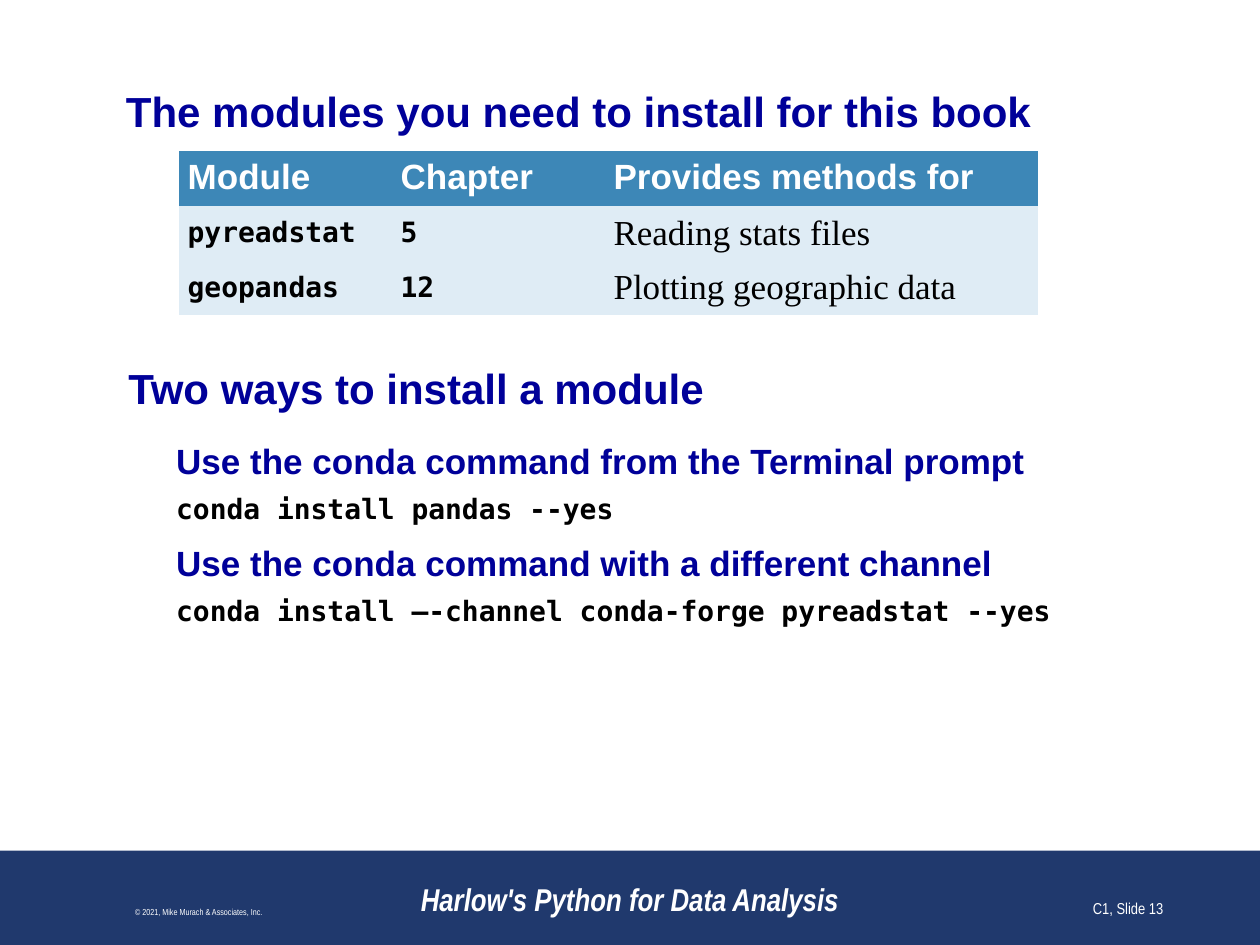
from dataclasses import dataclass

import pptx
import pptx.dml.color
import pptx.enum.shapes
import pptx.enum.text
import pptx.oxml.ns
import pptx.util
from pptx.util import Inches

ALIGN = pptx.enum.text.PP_ALIGN
ANCHOR = pptx.enum.text.MSO_ANCHOR
NAVY, WHITE, BLACK = "000099", "FFFFFF", "000000"
HEADER_FILL, BODY_FILL, FOOTER_FILL = "3D87B7", "DFECF5", "20396D"
NO_STYLE_NO_GRID = "{2D5ABB26-0587-4C30-8999-92F81FD0307C}"


@dataclass(frozen=True)
class Style:
    size: float
    name: str
    color: str
    bold: bool = False
    italic: bool = False
    before: float = 0
    after: float = 0
    indent: float = 0


@dataclass(frozen=True)
class FooterText:
    text: str
    left: float
    width: float
    align: ALIGN
    style: Style


HEADING = Style(24, "Arial", NAVY, bold=True, after=6)
SUBHEADING = Style(20, "Arial", NAVY, bold=True, before=9, after=6, indent=0.38)
COMMAND = Style(16, "DejaVu Sans Mono", BLACK, bold=True, indent=0.38)
TABLE_HEADER = Style(20, "Arial", WHITE, bold=True)
TABLE_CODE = Style(16, "DejaVu Sans Mono", BLACK, bold=True)
TABLE_TEXT = Style(20, "Times New Roman", BLACK)

COLUMN_WIDTHS = [1.69, 1.69, 3.44]
ROW_HEIGHT = 0.41
MODULES = [
    ["Module", "Chapter", "Provides methods for"],
    ["pyreadstat", "5", "Reading stats files"],
    ["geopandas", "12", "Plotting geographic data"],
]
INSTALL_STEPS = [
    ("Two ways to install a module", HEADING),
    ("Use the conda command from the Terminal prompt", SUBHEADING),
    ("conda install pandas --yes", COMMAND),
    ("Use the conda command with a different channel", SUBHEADING),
    ("conda install –-channel conda-forge pyreadstat --yes", COMMAND),
]
FOOTERS = [
    FooterText("Harlow's Python for Data Analysis", 3, 4, ALIGN.CENTER,
               Style(18, "Arial Narrow", WHITE, bold=True, italic=True)),
    FooterText("© 2021, Mike Murach & Associates, Inc.", 0.08, 3, ALIGN.CENTER,
               Style(5, "Arial Narrow", WHITE)),
    FooterText("C1, Slide 13", 7.25, 2.08, ALIGN.RIGHT,
               Style(9, "Arial Narrow", WHITE)),
]


def rgb(color: str) -> pptx.dml.color.RGBColor:
    return pptx.dml.color.RGBColor.from_string(color)


def write_paragraph(paragraph, text: str, style: Style, align=ALIGN.LEFT) -> None:
    paragraph.text = text
    paragraph.alignment = align
    paragraph.space_before = pptx.util.Pt(style.before)
    paragraph.space_after = pptx.util.Pt(style.after)
    if style.indent:
        paragraph._p.get_or_add_pPr().set("marL", str(Inches(style.indent)))
    font = paragraph.font
    font.size = pptx.util.Pt(style.size)
    font.name = style.name
    font.bold = style.bold
    font.italic = style.italic
    font.color.rgb = rgb(style.color)


def add_text_frame(slide, left: float, top: float, width: float, height: float, anchor):
    text_box = slide.shapes.add_textbox(
        Inches(left), Inches(top), Inches(width), Inches(height))
    frame = text_box.text_frame
    frame.word_wrap = True
    frame.vertical_anchor = anchor
    return frame


def add_title(slide) -> None:
    frame = add_text_frame(slide, 1, 0.68, 8, 0.4, ANCHOR.MIDDLE)
    frame.margin_left = frame.margin_right = frame.margin_top = frame.margin_bottom = 0
    write_paragraph(frame.paragraphs[0], "The modules you need to install for this book",
                    Style(24, "Arial", NAVY, bold=True))


def add_module_table(slide) -> None:
    table = slide.shapes.add_table(
        len(MODULES), len(COLUMN_WIDTHS), Inches(1.42), Inches(1.2),
        Inches(sum(COLUMN_WIDTHS)), Inches(ROW_HEIGHT * len(MODULES))).table
    table.horz_banding = False
    style_id = table._tbl.tblPr.find(pptx.oxml.ns.qn("a:tableStyleId"))
    style_id.text = NO_STYLE_NO_GRID
    for column, width in zip(table.columns, COLUMN_WIDTHS):
        column.width = Inches(width)
    for row_index, texts in enumerate(MODULES):
        table.rows[row_index].height = Inches(ROW_HEIGHT)
        is_header = row_index == 0
        styles = [TABLE_HEADER] * 3 if is_header else [TABLE_CODE, TABLE_CODE, TABLE_TEXT]
        for column_index, (text, style) in enumerate(zip(texts, styles)):
            cell = table.cell(row_index, column_index)
            cell.margin_left = cell.margin_right = Inches(0.07)
            cell.margin_top = cell.margin_bottom = Inches(0.05)
            cell.vertical_anchor = ANCHOR.TOP if is_header else ANCHOR.MIDDLE
            cell.fill.solid()
            cell.fill.fore_color.rgb = rgb(HEADER_FILL if is_header else BODY_FILL)
            write_paragraph(cell.text_frame.paragraphs[0], text, style)


def add_install_steps(slide) -> None:
    frame = add_text_frame(slide, 0.92, 2.83, 8.08, 3.67, ANCHOR.TOP)
    for index, (text, style) in enumerate(INSTALL_STEPS):
        paragraph = frame.add_paragraph() if index else frame.paragraphs[0]
        write_paragraph(paragraph, text, style)


def add_footer_band(slide) -> None:
    band = slide.shapes.add_shape(
        pptx.enum.shapes.MSO_SHAPE.RECTANGLE,
        Inches(0), Inches(6.75), Inches(10), Inches(0.75))
    band.shadow.inherit = False
    band.fill.solid()
    band.fill.fore_color.rgb = rgb(FOOTER_FILL)
    band.line.fill.background()


def add_footer_text(slide, footer: FooterText) -> None:
    frame = add_text_frame(slide, footer.left, 6.83, footer.width, 0.5, ANCHOR.BOTTOM)
    write_paragraph(frame.paragraphs[0], footer.text, footer.style, footer.align)


def main() -> None:
    presentation = pptx.Presentation()
    presentation.slide_width = Inches(10)
    presentation.slide_height = Inches(7.5)
    slide = presentation.slides.add_slide(presentation.slide_layouts[6])
    add_footer_band(slide)
    add_title(slide)
    add_module_table(slide)
    add_install_steps(slide)
    for footer in FOOTERS:
        add_footer_text(slide, footer)
    presentation.save("out.pptx")


if __name__ == "__main__":
    main()
